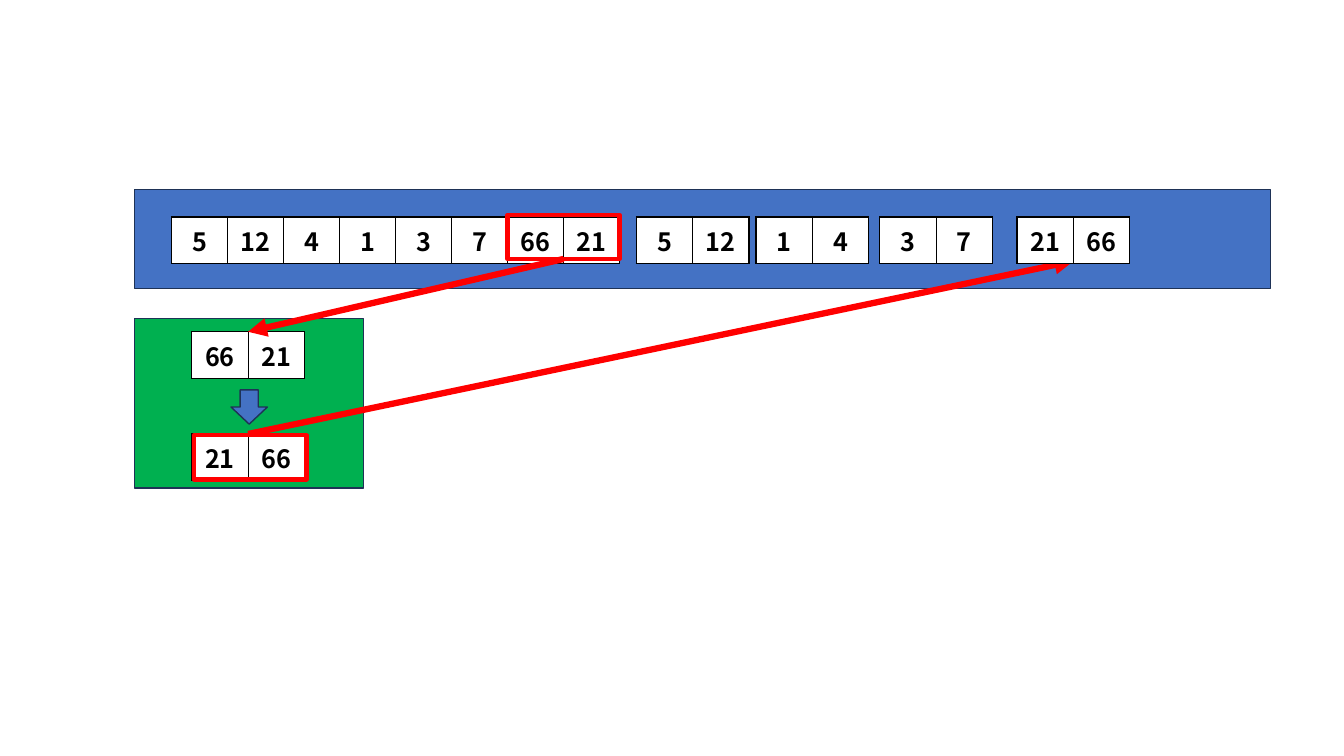
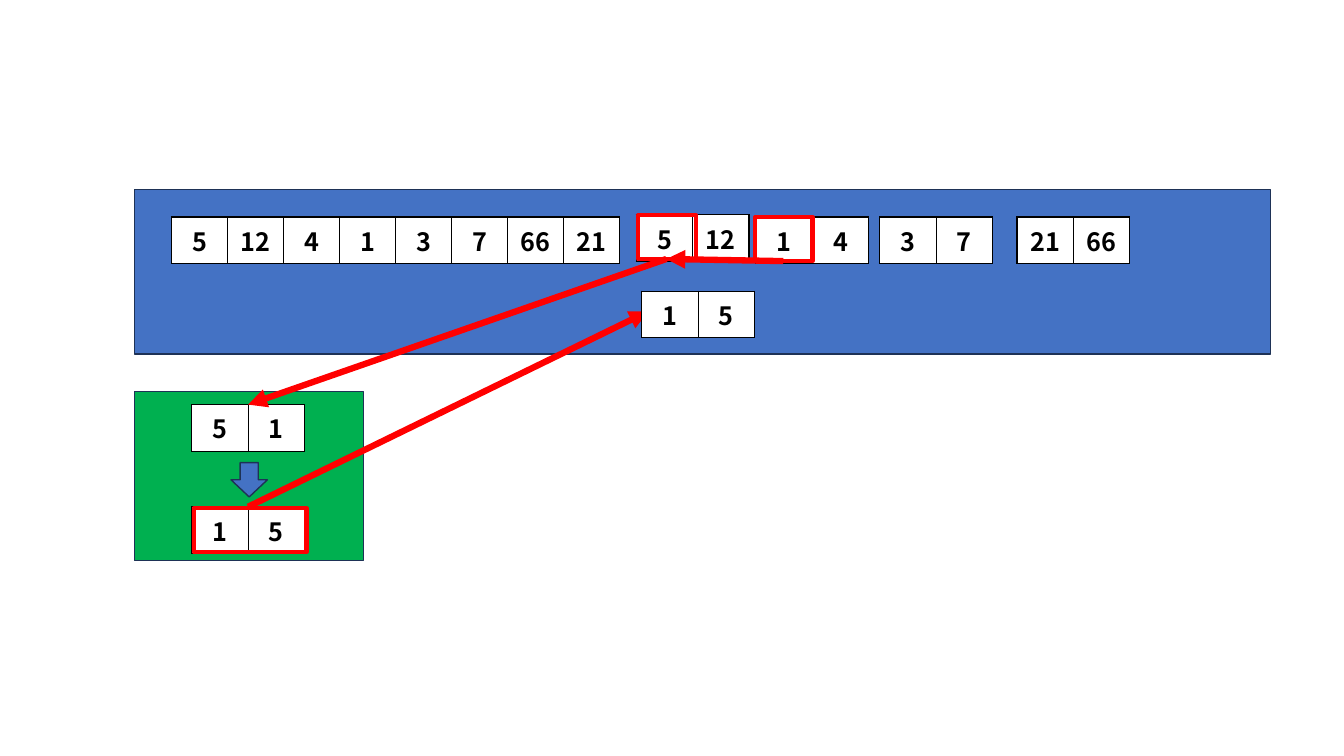
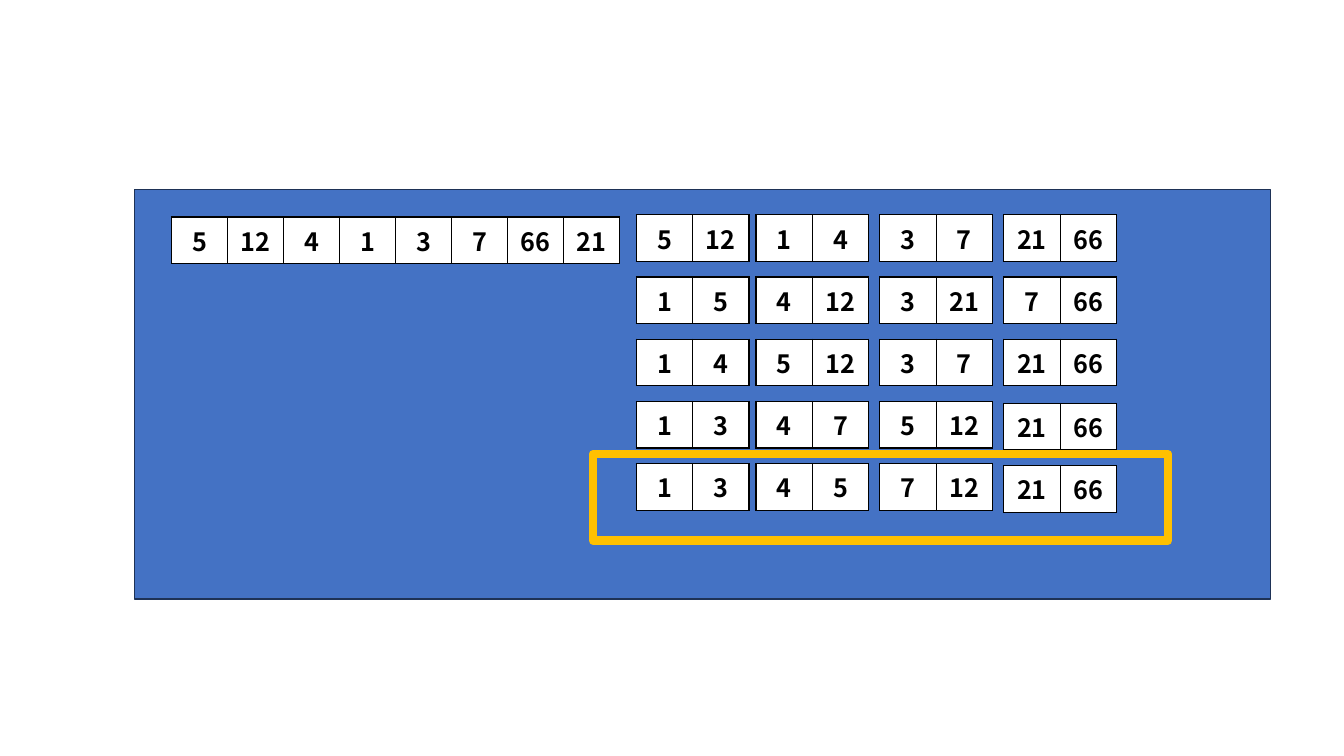
from lxml import etree
from pptx import Presentation
from pptx.dml.color import RGBColor
from pptx.enum.shapes import MSO_CONNECTOR, MSO_SHAPE
from pptx.enum.text import PP_ALIGN
from pptx.oxml import parse_xml
from pptx.oxml.ns import nsdecls, qn
from pptx.util import Pt

RECTANGLE = MSO_SHAPE.RECTANGLE
DOWN_ARROW = MSO_SHAPE.DOWN_ARROW
STRAIGHT = MSO_CONNECTOR.STRAIGHT
CENTER = PP_ALIGN.CENTER

BLUE = RGBColor(0x44, 0x72, 0xC4)
NAVY = RGBColor(0x1E, 0x32, 0x56)
GREEN = RGBColor(0x00, 0xB0, 0x50)
RED = RGBColor(0xFF, 0x00, 0x00)
AMBER = RGBColor(0xFF, 0xC0, 0x00)
BLACK = RGBColor(0x00, 0x00, 0x00)
WHITE = RGBColor(0xFF, 0xFF, 0xFF)
FONT = "Noto Sans CJK KR"

# Shared layout, in points
PANEL_LEFT, PANEL_TOP, PANEL_WIDTH = 96, 135.5, 811.5
ARRAY_LEFT, ARRAY_TOP, ARRAY_CELL, ARRAY_HEIGHT = 122.5, 155, 40, 29.5
PAIR_CELL, PAIR_HEIGHT = 40.25, 31.5
PAIR_LEFTS = (454.5, 540, 628.5)
RUN_LEFT, FINAL_LEFT = 726.5, 717
RAISED_TOP = 153.5

VALUES = (5, 12, 4, 1, 3, 7, 66, 21)
SORTED_PAIRS = ((5, 12), (1, 4), (3, 7), (21, 66))
MERGE_PASSES = (
    SORTED_PAIRS,
    ((1, 5), (4, 12), (3, 21), (7, 66)),
    ((1, 4), (5, 12), (3, 7), (21, 66)),
    ((1, 3), (4, 7), (5, 12), (21, 66)),
    ((1, 3), (4, 5), (7, 12), (21, 66)),
)


def add_block(page, kind, left, top, width, height, fill=None, line=NAVY, weight=1):
    """Preset shape, hollow when no fill is given."""
    block = page.shapes.add_shape(kind, Pt(left), Pt(top), Pt(width), Pt(height))
    block.shadow.inherit = False
    if fill is None:
        block.fill.background()
    else:
        block.fill.solid()
        block.fill.fore_color.rgb = fill
    block.line.color.rgb = line
    block.line.width = Pt(weight)


def add_highlight(page, left, top, width):
    add_block(page, RECTANGLE, left, top, width, PAIR_HEIGHT, line=RED, weight=3)


def add_arrow(page, start, end):
    arrow = page.shapes.add_connector(STRAIGHT, *(Pt(value) for value in (*start, *end)))
    arrow.line.color.rgb = RED
    arrow.line.width = Pt(4.5)
    etree.SubElement(arrow.line._get_or_add_ln(), qn("a:tailEnd"), type="triangle")
    etree.SubElement(arrow._element.spPr, qn("a:effectLst"))


def style_cell(cell, value):
    cell.fill.solid()
    cell.fill.fore_color.rgb = WHITE
    for index, side in enumerate(("lnL", "lnR", "lnT", "lnB")):
        border = parse_xml(
            f'<a:{side} {nsdecls("a")} w="{Pt(1)}"><a:solidFill>'
            f'<a:srgbClr val="{BLACK}"/></a:solidFill></a:{side}>')
        cell._tc.get_or_add_tcPr().insert(index, border)
    para = cell.text_frame.paragraphs[0]
    para.text = str(value)
    para.alignment = CENTER
    font = para.runs[0].font
    font.name, font.size, font.bold = FONT, Pt(18), True
    font.color.rgb = BLACK


def add_cells(page, values, left, top, cell_width=PAIR_CELL, height=PAIR_HEIGHT):
    """One row of numbered cells."""
    count = len(values)
    table = page.shapes.add_table(
        1, count, Pt(left), Pt(top), Pt(cell_width * count), Pt(height)).table
    table.first_row = table.horz_banding = False
    for column, value in enumerate(values):
        table.columns[column].width = Pt(cell_width)
        style_cell(table.cell(0, column), value)


def add_memory(page, height):
    """Blue panel holding the input array."""
    add_block(page, RECTANGLE, PANEL_LEFT, PANEL_TOP, PANEL_WIDTH, height, BLUE)
    add_cells(page, VALUES, ARRAY_LEFT, ARRAY_TOP, ARRAY_CELL, ARRAY_HEIGHT)


def add_workspace(page, top, before, after):
    """Green sorting box; returns the top centres of its two pairs."""
    left = PANEL_LEFT
    pair_left, before_top, after_top = left + 41, top + 9.5, top + 82.5
    add_block(page, RECTANGLE, left, top, 163.5, 121, GREEN)
    add_cells(page, before, pair_left, before_top)
    add_cells(page, after, pair_left, after_top)
    add_block(page, DOWN_ARROW, left + 69, top + 51, 26, 24.5, BLUE)
    add_highlight(page, pair_left + 1.5, after_top + 1, 2 * PAIR_CELL)
    center = pair_left + PAIR_CELL
    return (center, before_top), (center, after_top)


def build_sort_page(page):
    entry, leave = add_workspace(page, 227.5, (66, 21), (21, 66))
    add_memory(page, 70.5)
    # Last two values go to the workspace and come back sorted
    source_left = ARRAY_LEFT + 6 * ARRAY_CELL
    add_highlight(page, source_left, RAISED_TOP, 2 * ARRAY_CELL)
    add_arrow(page, (source_left + ARRAY_CELL, RAISED_TOP + PAIR_HEIGHT), entry)
    add_arrow(page, leave, (RUN_LEFT + PAIR_CELL, ARRAY_TOP + PAIR_HEIGHT))
    for pair, left in zip(SORTED_PAIRS, (*PAIR_LEFTS, RUN_LEFT)):
        add_cells(page, pair, left, ARRAY_TOP)


def build_merge_page(page):
    entry, leave = add_workspace(page, 279.5, (5, 1), (1, 5))
    add_memory(page, 117.5)
    add_arrow(page, leave, (463, 222.5))
    tops = (RAISED_TOP, ARRAY_TOP, ARRAY_TOP, ARRAY_TOP)
    for pair, left, top in zip(SORTED_PAIRS, (*PAIR_LEFTS, RUN_LEFT), tops):
        add_cells(page, pair, left, top)
    # Heads of the first two runs are compared
    first_head = (476, RAISED_TOP + PAIR_HEIGHT)
    second_head = (559.5, ARRAY_TOP + PAIR_HEIGHT)
    add_arrow(page, second_head, first_head)
    add_arrow(page, first_head, entry)
    add_highlight(page, 539.5, ARRAY_TOP, 41)
    add_highlight(page, 456, RAISED_TOP, 41)
    add_cells(page, (1, 5), 458.5, 208)


def build_result_page(page):
    add_memory(page, 292.5)
    for row, pairs in enumerate(MERGE_PASSES):
        top = RAISED_TOP + 44.4 * row
        for pair, left in zip(pairs, (*PAIR_LEFTS, FINAL_LEFT)):
            # The last run sits slightly lower in the two final passes
            drop = 1.5 if left == FINAL_LEFT and row >= 3 else 0
            add_cells(page, pair, left, top + drop)
    # Frame around the final pass
    add_block(page, RECTANGLE, 423.5, 324.5, 411, 61.5, line=AMBER, weight=6)


def main():
    deck = Presentation()
    deck.slide_width, deck.slide_height = Pt(960), Pt(540)
    for build in (build_sort_page, build_merge_page, build_result_page):
        build(deck.slides.add_slide(deck.slide_layouts[6]))
    deck.save("out.pptx")


if __name__ == "__main__":
    main()
